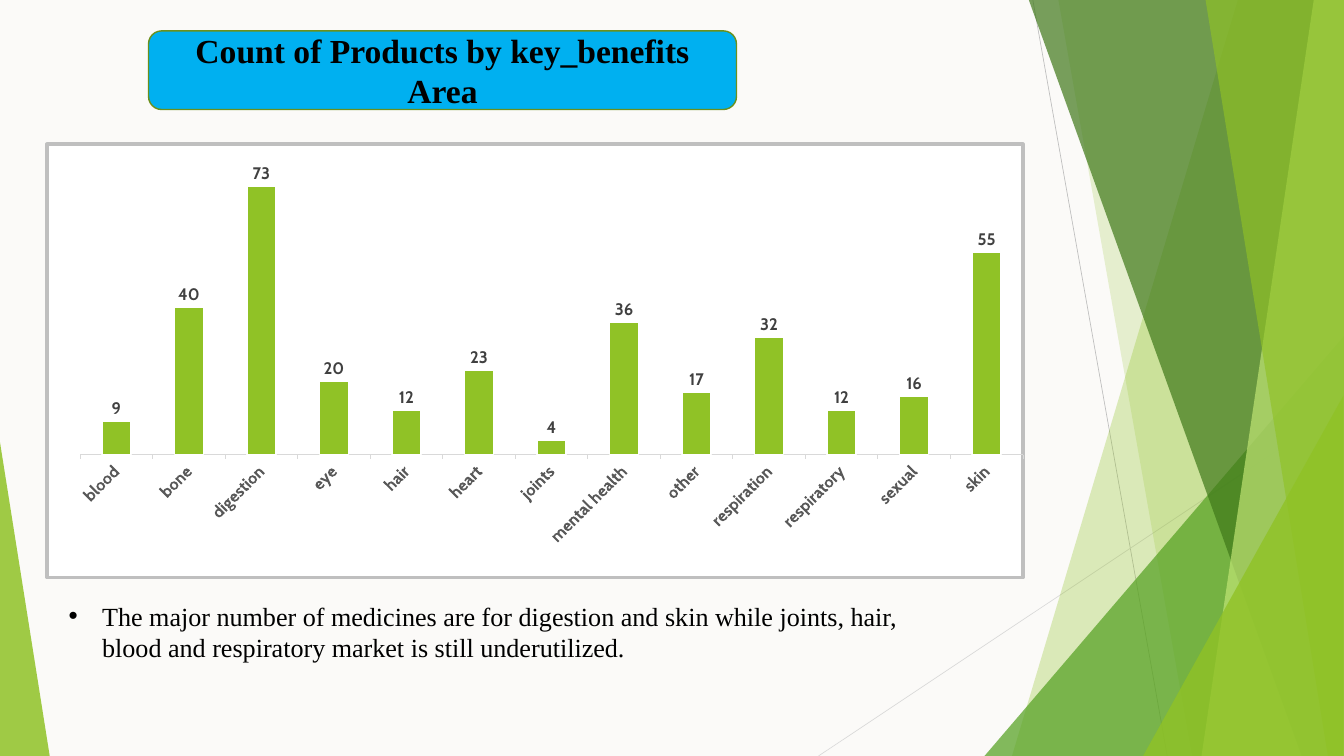
"""Build the slide that counts products by key benefit area."""
from dataclasses import dataclass

from lxml import etree
from pptx import Presentation, oxml, util as u
from pptx.chart import data as chart_data
from pptx.dml.color import RGBColor
from pptx.enum import chart as chart_enum, shapes, text
from pptx.oxml import ns

COLUMNS, ROWS = 20, 11.25
CELL = u.Inches(1)


@dataclass(frozen=True)
class Theme:
    paper: str = "FBFAF8"
    white: str = "FFFFFF"
    ink: str = "000000"
    lime: str = "90C226"
    pale_lime: str = "C0E474"
    green: str = "54A021"
    forest: str = "3F7819"
    banner: str = "00B0F0"
    banner_edge: str = "6B901C"
    frame: str = "BFBFBF"
    rule: str = "D9D9D9"
    category: str = "595959"
    value: str = "404040"
    serif: str = "Times New Roman"
    sans: str = "Cabin"
    title_size: int = 36
    body_size: int = 28
    chart_size: int = 18
    base_size: int = 10


@dataclass(frozen=True)
class Box:
    col: float
    row: float
    cols: float
    rows: float

    def emu(self) -> tuple:
        return tuple(grid(n) for n in (self.col, self.row, self.cols, self.rows))


@dataclass(frozen=True)
class Ray:
    start: tuple
    end: tuple
    color: str


@dataclass(frozen=True)
class Band:
    top: float
    bottom: float
    right: float
    color: str
    opacity: int


@dataclass(frozen=True)
class Wedge:
    box: Box
    apex: float
    color: str
    opacity: int


THEME = Theme()
BANNER = Box(2.21, 0.46, 8.75, 1.17)
CHART = Box(0.67, 2.12, 14.58, 6.5)
TAKEAWAY = Box(0.92, 8.88, 12.57, 1.04)
PLOT = {"x": 0.062, "y": 0.038, "w": 0.966, "h": 0.679}

RAYS = (
    Ray((15.37, 0), (17.37, ROWS), THEME.frame),
    Ray((COLUMNS, 6.04), (12.18, ROWS), THEME.rule),
)
FACETS = (
    Band(18.42, 15.06, COLUMNS, THEME.lime, 30),
    Band(15.75, 17.74, COLUMNS, THEME.lime, 20),
    Wedge(Box(14.65, 5, 5.35, 6.25), 1, THEME.green, 72),
    Band(15.31, 19.37, COLUMNS, THEME.forest, 70),
    Band(19.55, 17.88, COLUMNS, THEME.pale_lime, 70),
    Band(17.94, 19.76, COLUMNS, THEME.lime, 65),
    Wedge(Box(17.01, 5.89, 2.98, 5.36), 1, THEME.lime, 80),
    Wedge(Box(0, 6.58, 0.74, 4.67), 0, THEME.lime, 85),
)
BENEFITS = {
    "blood": 9, "bone": 40, "digestion": 73, "eye": 20, "hair": 12, "heart": 23, "joints": 4,
    "mental health": 36, "other": 17, "respiration": 32, "respiratory": 12, "sexual": 16, "skin": 55,
}


def grid(cells: float) -> int:
    return int(cells * CELL)


def rgb(color: str) -> RGBColor:
    return RGBColor.from_string(color)


def paint(fill, color: str) -> None:
    fill.solid()
    fill.fore_color.rgb = rgb(color)


def stroke(line, color: str, width: float) -> None:
    line.color.rgb = rgb(color)
    line.width = u.Pt(width)


def style(font, family: str, size: float, color: str, bold: bool = False) -> None:
    font.name, font.size, font.bold = family, u.Pt(size), bold
    font.color.rgb = rgb(color)


def draw_ray(slide, ray: Ray) -> None:
    ends = [grid(n) for n in ray.start + ray.end]
    connector = slide.shapes.add_connector(shapes.MSO_CONNECTOR.STRAIGHT, *ends)
    stroke(connector.line, ray.color, 0.75)
    etree.SubElement(connector.element.spPr, ns.qn("a:effectLst"))


def draw_facet(slide, facet: Band | Wedge) -> None:
    if isinstance(facet, Band):
        corners = ((facet.right, 0), (facet.right, ROWS), (facet.bottom, ROWS))
        builder = slide.shapes.build_freeform(grid(facet.top), 0)
        builder.add_line_segments([(grid(x), grid(y)) for x, y in corners], close=True)
        pane = builder.convert_to_shape()
    else:
        pane = slide.shapes.add_shape(shapes.MSO_SHAPE.ISOSCELES_TRIANGLE, *facet.box.emu())
        pane.adjustments[0] = facet.apex
    pane.shadow.inherit = False
    pane.line.fill.background()
    paint(pane.fill, facet.color)
    tint = pane.element.spPr.find(".//" + ns.qn("a:srgbClr"))
    etree.SubElement(tint, ns.qn("a:alpha")).set("val", str(facet.opacity * 1000))


def draw_banner(slide) -> None:
    banner = slide.shapes.add_shape(shapes.MSO_SHAPE.ROUNDED_RECTANGLE, *BANNER.emu())
    banner.shadow.inherit = False
    paint(banner.fill, THEME.banner)
    stroke(banner.line, THEME.banner_edge, 1.5)


def fill_placeholder(holder, box: Box, words: str, size: int, bold: bool = False):
    holder.left, holder.top, holder.width, holder.height = box.emu()
    frame = holder.text_frame
    frame.text = words
    frame.word_wrap = True
    frame.auto_size = text.MSO_AUTO_SIZE.NONE
    paragraph = frame.paragraphs[0]
    paragraph.space_before = u.Pt(0)
    style(paragraph.runs[0].font, THEME.serif, size, THEME.ink, bold)
    holder.element.getparent().append(holder.element)
    return frame


def frame_chart(chart) -> None:
    border = oxml.parse_xml(
        f'<c:spPr {ns.nsdecls("c", "a")}><a:solidFill><a:srgbClr val="{THEME.white}"/></a:solidFill>'
        f'<a:ln w="{u.Pt(4)}"><a:solidFill><a:srgbClr val="{THEME.frame}"/></a:solidFill></a:ln></c:spPr>')
    chart.element.find(ns.qn("c:chart")).addnext(border)
    area = chart.element.find(".//" + ns.qn("c:plotArea"))
    for old in area.findall(ns.qn("c:layout")):
        area.remove(old)
    shares = "".join(f'<c:{side} val="{share}"/>' for side, share in PLOT.items())
    area.insert(0, oxml.parse_xml(
        f'<c:layout {ns.nsdecls("c")}><c:manualLayout><c:layoutTarget val="inner"/>'
        f'<c:xMode val="edge"/><c:yMode val="edge"/>{shares}</c:manualLayout></c:layout>'))


def draw_chart(slide) -> None:
    counts = chart_data.CategoryChartData()
    counts.categories = list(BENEFITS)
    counts.add_series("Series 1", list(BENEFITS.values()))
    kind = chart_enum.XL_CHART_TYPE.COLUMN_CLUSTERED
    chart = slide.shapes.add_chart(kind, *CHART.emu(), counts).chart
    chart.has_title = chart.has_legend = False
    style(chart.font, THEME.sans, THEME.base_size, THEME.ink)

    benefits, scale = chart.category_axis, chart.value_axis
    style(benefits.tick_labels.font, THEME.sans, THEME.chart_size, THEME.category, True)
    stroke(benefits.format.line, THEME.rule, 0.75)
    benefits.major_tick_mark = chart_enum.XL_TICK_MARK.OUTSIDE
    benefits_body = chart.element.find(f".//{ns.qn('c:catAx')}/{ns.qn('c:txPr')}/{ns.qn('a:bodyPr')}")
    benefits_body.set("rot", "-2700000")
    scale.visible = scale.has_major_gridlines = False
    scale.minimum_scale, scale.maximum_scale = 0, 80

    plot = chart.plots[0]
    plot.gap_width = 150
    plot.vary_by_categories = False
    bars = plot.series[0]
    paint(bars.format.fill, THEME.lime)
    stroke(bars.format.line, THEME.white, 1.5)
    bars.data_labels.show_value = True
    bars.data_labels.position = chart_enum.XL_LABEL_POSITION.OUTSIDE_END
    style(bars.data_labels.font, THEME.sans, THEME.chart_size, THEME.value, True)
    frame_chart(chart)


def main() -> None:
    deck = Presentation()
    deck.slide_width, deck.slide_height = grid(COLUMNS), grid(ROWS)
    slide = deck.slides.add_slide(deck.slide_layouts[1])
    headline, takeaway = slide.shapes.title, slide.placeholders[1]
    paint(slide.background.fill, THEME.paper)
    for ray in RAYS:
        draw_ray(slide, ray)
    for facet in FACETS:
        draw_facet(slide, facet)
    draw_banner(slide)
    heading = fill_placeholder(
        headline, BANNER, "Count of Products by key_benefits Area", THEME.title_size, True)
    heading.vertical_anchor = text.MSO_ANCHOR.MIDDLE
    heading.margin_left = heading.margin_right = u.Inches(0.16)
    heading.paragraphs[0].alignment = text.PP_ALIGN.CENTER
    draw_chart(slide)
    finding = fill_placeholder(
        takeaway, TAKEAWAY, "The major number of medicines are for digestion and skin while joints, hair, "
        "blood and respiratory market is still underutilized.", THEME.body_size)
    bullet = finding.paragraphs[0]._p.get_or_add_pPr()
    bullet.set("marL", str(grid(0.5)))
    bullet.set("indent", str(grid(-0.5)))
    etree.SubElement(bullet, ns.qn("a:buChar")).set("char", "•")
    deck.save("out.pptx")


if __name__ == "__main__":
    main()
